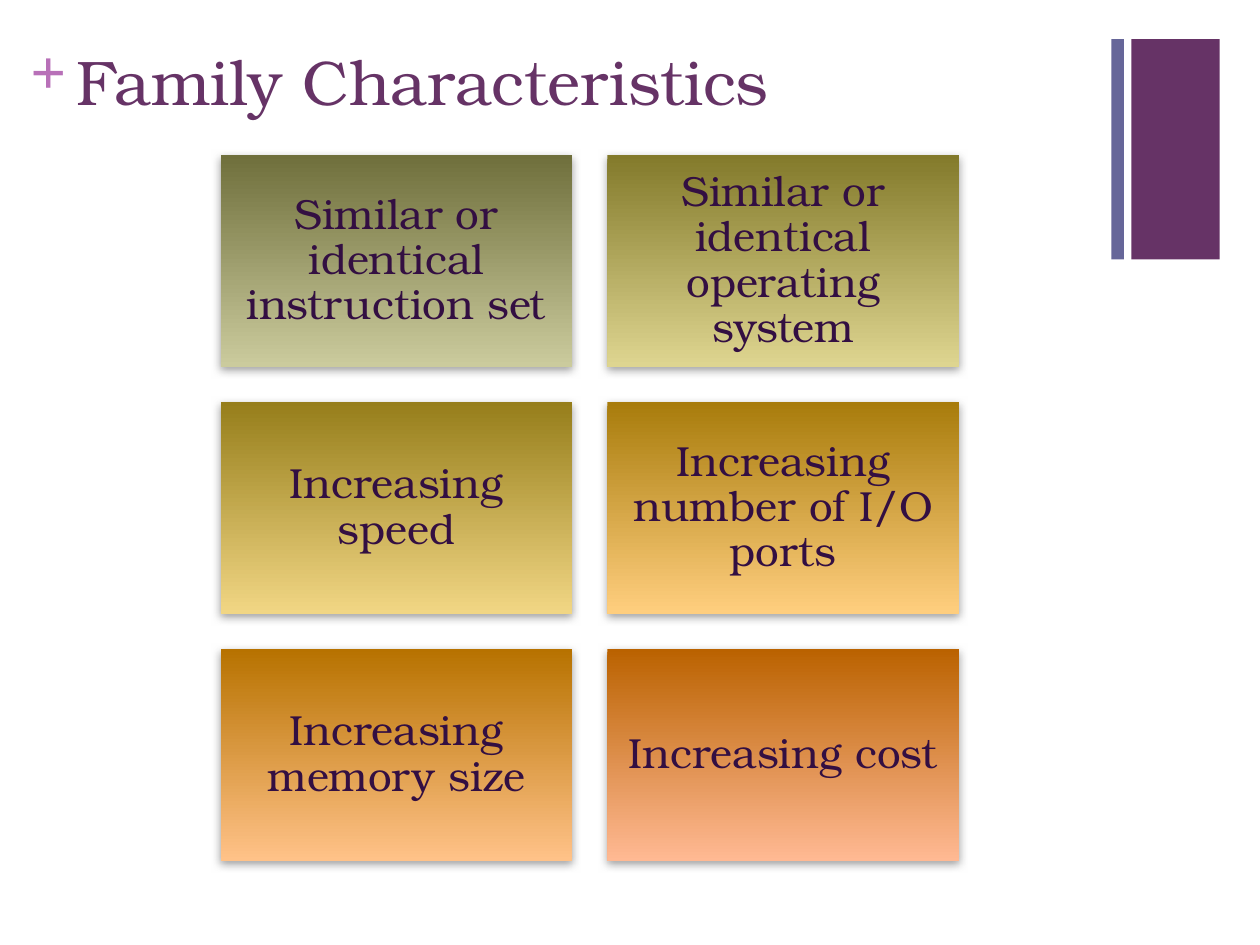
from lxml import etree
from pptx import Presentation
from pptx.dml.color import RGBColor
from pptx.enum.shapes import MSO_SHAPE
from pptx.enum.text import MSO_ANCHOR, PP_ALIGN
from pptx.oxml.ns import qn
from pptx.util import Inches, Pt

RECT = MSO_SHAPE.RECTANGLE
MIDDLE = MSO_ANCHOR.MIDDLE
CENTER = PP_ALIGN.CENTER

PURPLE = RGBColor(0x66, 0x33, 0x66)
ORCHID = RGBColor(0xB8, 0x70, 0xB8)
SLATE = RGBColor(0x66, 0x66, 0x99)
INK = RGBColor(0x33, 0x0F, 0x42)
SHADOW = RGBColor(0x80, 0x80, 0x80)

CARDS = [
    ("Similar or identical instruction set", RGBColor(0x6F, 0x6F, 0x3C), RGBColor(0xCB, 0xCB, 0x9D)),
    ("Similar or identical operating system", RGBColor(0x83, 0x7A, 0x2B), RGBColor(0xDE, 0xD5, 0x90)),
    ("Increasing speed", RGBColor(0x96, 0x7E, 0x1B), RGBColor(0xF1, 0xD6, 0x84)),
    ("Increasing number of I/O ports", RGBColor(0xA8, 0x7C, 0x0C), RGBColor(0xFF, 0xCE, 0x7E)),
    ("Increasing memory size", RGBColor(0xB7, 0x72, 0x00), RGBColor(0xFF, 0xC2, 0x88)),
    ("Increasing cost", RGBColor(0xBA, 0x62, 0x00), RGBColor(0xFF, 0xB9, 0x93)),
]
COLUMNS = 2
CARD_LEFT, CARD_TOP = 1.75, 1.23
CARD_WIDTH, CARD_HEIGHT, GAP = 2.79, 1.68, 0.28


def write(tf, text, size=24, font="TeX Gyre Bonum", color=INK, bold=False,
          align=None, spacing=None, margins=(0.1, 0.05)):
    tf.word_wrap = True
    tf.margin_left = tf.margin_right = Inches(margins[0])
    tf.margin_top = tf.margin_bottom = Inches(margins[1])
    p = tf.paragraphs[0]
    p.alignment = align
    p.line_spacing = spacing
    r = p.add_run()
    r.text = text
    r.font.name = font
    r.font.size = Pt(size)
    r.font.bold = bold
    r.font.color.rgb = color


class SlideBuilder:
    """Holds the current slide and draws its elements in one style."""

    def __init__(self, prs):
        self.s = prs.slides.add_slide(prs.slide_layouts[6])

    def rect(self, x, y, w, h):
        sp = self.s.shapes.add_shape(RECT, Inches(x), Inches(y), Inches(w), Inches(h))
        sp.line.fill.background()
        sp.shadow.inherit = False
        return sp

    def bar(self, x, y, w, h, color):
        sp = self.rect(x, y, w, h)
        sp.fill.solid()
        sp.fill.fore_color.rgb = color

    def text(self, x, y, w, h, text, **style):
        sp = self.s.shapes.add_textbox(Inches(x), Inches(y), Inches(w), Inches(h))
        write(sp.text_frame, text, **style)

    def card(self, x, y, text, top_color, bottom_color):
        sp = self.rect(x, y, CARD_WIDTH, CARD_HEIGHT)
        sp.fill.gradient()
        sp.fill.gradient_angle = 270
        for stop, color in zip(sp.fill.gradient_stops, (top_color, bottom_color)):
            stop.color.rgb = color
        self.drop_shadow(sp)
        sp.text_frame.vertical_anchor = MIDDLE
        write(sp.text_frame, text, align=CENTER, spacing=0.9, margins=(0.1, 0.1))

    def drop_shadow(self, sp):
        effects = sp._element.spPr.find(qn("a:effectLst"))
        shadow = etree.SubElement(effects, qn("a:outerShdw"), blurRad=str(Pt(5)),
                                  dist=str(Pt(2)), dir="5400000", rotWithShape="0")
        color = etree.SubElement(shadow, qn("a:srgbClr"), val=str(SHADOW))
        etree.SubElement(color, qn("a:alpha"), val="75000")


def main():
    prs = Presentation()
    prs.slide_width, prs.slide_height = Inches(10), Inches(7.5)
    slide = SlideBuilder(prs)
    slide.bar(8.98, 0.31, 0.7, 1.75, PURPLE)
    slide.text(0.24, 0.25, 0.29, 0.61, "+", size=36, font="Times New Roman",
               color=ORCHID, bold=True, margins=(0, 0))
    slide.bar(8.82, 0.31, 0.1, 1.75, SLATE)
    slide.text(0.51, 0.29, 8.26, 1.22, "Family Characteristics", size=36, color=PURPLE)
    for i, card in enumerate(CARDS):
        row, col = divmod(i, COLUMNS)
        slide.card(CARD_LEFT + col * (CARD_WIDTH + GAP),
                   CARD_TOP + row * (CARD_HEIGHT + GAP), *card)
    prs.save("out.pptx")


if __name__ == "__main__":
    main()
